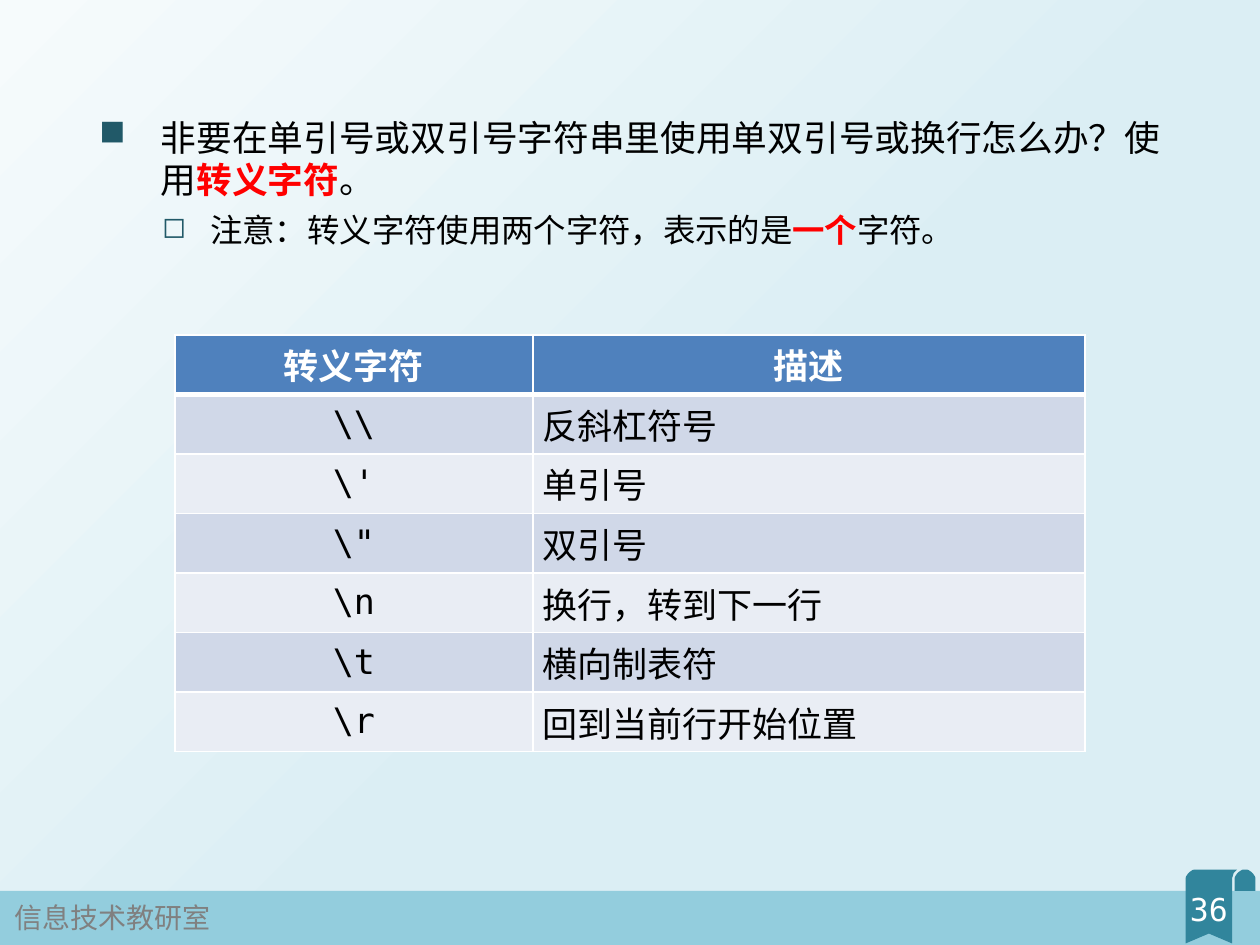
from dataclasses import dataclass
from math import cos, radians, sin

from lxml.etree import SubElement
from pptx import Presentation
from pptx.dml.color import RGBColor
from pptx.enum.shapes import MSO_SHAPE
from pptx.enum.text import MSO_ANCHOR, PP_ALIGN
from pptx.oxml.ns import qn
from pptx.util import Cm, Pt

COLORS = {
    "light": "F6FBFC", "sky": "DBEEF4", "band": "93CDDD", "ribbon": "31859C",
    "bullet": "215968", "grey": "808080", "black": "000000", "red": "FF0000",
    "white": "FFFFFF", "header": "4F81BD", "odd": "D0D8E8", "even": "E9EDF4",
}
MONO = "DejaVu Sans Mono"
CJK = "Noto Sans CJK JP"
SYMBOL = "OpenSymbol"


@dataclass
class Span:
    text: str
    color: str = "black"
    bold: bool = False


@dataclass
class Bullet:
    symbol: str
    level: int
    indent: float
    hanging: float
    size: float
    bullet_percent: int
    space_before: float
    spans: list[Span]


BULLETS = [
    Bullet("■", 0, 1.24, 1.24, 20.4, 100, 0, [
        Span("非要在单引号或双引号字符串里使用单双引号或换行怎么办？使用"),
        Span("转义字符", "red", True), Span("。")]),
    Bullet("◻", 1, 2.24, 0.97, 18.5, 90, 5, [
        Span("注意：转义字符使用两个字符，表示的是"),
        Span("一个", "red", True), Span("字符。")]),
]
ESCAPES = [
    ("转义字符", "描述"),
    (r"\\", "反斜杠符号"),
    (r"\'", "单引号"),
    (r'\"', "双引号"),
    (r"\n", "换行，转到下一行"),
    (r"\t", "横向制表符"),
    (r"\r", "回到当前行开始位置"),
]


def rgb(name: str) -> RGBColor:
    """Return a named colour."""
    return RGBColor.from_string(COLORS[name])


def add_text(para, text: str, *, size: float, color: str = "black",
             bold: bool = False, font: str = MONO) -> None:
    """Append one formatted span to a paragraph."""
    span = para.add_run()
    span.text = text
    span.font.size = Pt(size)
    span.font.bold = bold
    span.font.color.rgb = rgb(color)
    span.font.name = font
    SubElement(span.font._element, qn("a:ea"), typeface=CJK)


def add_box(page, left: float, top: float, width: float, height: float,
            *, wrap: bool = True):
    """Add a text box measured in centimetres and return its frame."""
    box = page.shapes.add_textbox(Cm(left), Cm(top), Cm(width), Cm(height))
    box.text_frame.word_wrap = wrap
    return box.text_frame


def paint(shape, color: str) -> None:
    """Give a shape a plain fill without line or shadow."""
    shape.shadow.inherit = False
    shape.fill.solid()
    shape.fill.fore_color.rgb = rgb(color)
    shape.line.fill.background()


def arc(x: float, y: float, radius: float, start: int, end: int) -> list[tuple]:
    """Return points along a circular arc."""
    return [(x + radius * cos(radians(angle)), y + radius * sin(radians(angle)))
            for angle in range(start, end + 1, 10)]


def add_ribbon(page) -> None:
    """Draw the page number ribbon with its curl, in hundredths of a centimetre."""
    body = [(2390, 1902), *arc(2412, 1775, 22, 180, 270), (2494, 1753),
            (2487, 1760), (2484, 1770), (2484, 1902), (2437, 1882)]
    curl = [(2489, 1796), *arc(2510, 1774, 21, 180, 360), (2531, 1796)]
    builder = page.shapes.build_freeform(*body[0], scale=Cm(0.01))
    builder.add_line_segments(body[1:])
    builder.move_to(*curl[0])
    builder.add_line_segments(curl[1:])
    paint(builder.convert_to_shape(), "ribbon")


def add_bullet(para, item: Bullet) -> None:
    """Fill a paragraph with a bulleted item."""
    para.level = item.level
    para.line_spacing = 1.0
    if item.space_before:
        para.space_before = Pt(item.space_before)
    props = para._p.get_or_add_pPr()
    props.set("marL", str(Cm(item.indent)))
    props.set("indent", str(-Cm(item.hanging)))
    SubElement(SubElement(props, qn("a:buClr")), qn("a:srgbClr"),
               val=COLORS["bullet"])
    SubElement(props, qn("a:buSzPct"), val=str(item.bullet_percent * 1000))
    SubElement(props, qn("a:buFont"), typeface=SYMBOL)
    SubElement(props, qn("a:buChar"), char=item.symbol)
    for span in item.spans:
        add_text(para, span.text, size=item.size, color=span.color, bold=span.bold)


def set_borders(cell, top: float, bottom: float) -> None:
    """Draw white borders around a cell."""
    props = cell._tc.get_or_add_tcPr()
    for side, width in (("lnL", 1), ("lnR", 1), ("lnT", top), ("lnB", bottom)):
        line = SubElement(props, qn(f"a:{side}"), w=str(Pt(width)))
        SubElement(SubElement(line, qn("a:solidFill")), qn("a:srgbClr"),
                   val=COLORS["white"])


def add_escape_table(page) -> None:
    """Add the table of escape characters."""
    row_height = 1.2
    table = page.shapes.add_table(len(ESCAPES), 2, Cm(3.53), Cm(6.75), Cm(18.34),
                                  Cm(row_height * len(ESCAPES))).table
    table.horz_banding = False
    for column, width in zip(table.columns, (7.21, 11.13)):
        column.width = Cm(width)
    for i, texts in enumerate(ESCAPES):
        table.rows[i].height = Cm(row_height)
        header = i == 0
        fill = "header" if header else "odd" if i % 2 else "even"
        for j, text in enumerate(texts):
            cell = table.cell(i, j)
            set_borders(cell, 3 if i == 1 else 1, 3 if header else 1)
            cell.fill.solid()
            cell.fill.fore_color.rgb = rgb(fill)
            cell.vertical_anchor = MSO_ANCHOR.MIDDLE
            cell.margin_left = cell.margin_right = Cm(0.19)
            cell.margin_top = cell.margin_bottom = 0
            para = cell.text_frame.paragraphs[0]
            para.alignment = (PP_ALIGN.CENTER if header or j == 0
                              else PP_ALIGN.JUSTIFY)
            add_text(para, text, size=20, bold=header,
                     color="white" if header else "black")


def main() -> None:
    """Build the slide and save it."""
    deck = Presentation()
    deck.slide_width, deck.slide_height = Cm(25.4), Cm(19.05)
    page = deck.slides.add_slide(deck.slide_layouts[6])

    backdrop = page.background.fill
    backdrop.gradient()
    backdrop.gradient_angle = 315
    for stop, position, color in zip(backdrop.gradient_stops, (0, 0.56),
                                     ("light", "sky")):
        stop.position = position
        stop.color.rgb = rgb(color)

    band = page.shapes.add_shape(MSO_SHAPE.RECTANGLE, 0, Cm(17.96),
                                 Cm(25.4), Cm(1.09))
    paint(band, "band")
    add_ribbon(page)

    footer = add_box(page, 0.05, 18.03, 4.5, 0.94, wrap=False)
    add_text(footer.paragraphs[0], "信息技术教研室", size=16, color="grey", font=CJK)

    body = add_box(page, 1.75, 2.2, 21.9, 3.1)
    body.margin_right = Cm(0.15)
    for i, item in enumerate(BULLETS):
        add_bullet(body.add_paragraph() if i else body.paragraphs[0], item)

    number = add_box(page, 23.47, 17.81, 1.8, 1.02).paragraphs[0]
    number.alignment = PP_ALIGN.CENTER
    add_text(number, "36", size=18, color="white")

    add_escape_table(page)
    deck.save("out.pptx")


if __name__ == "__main__":
    main()
